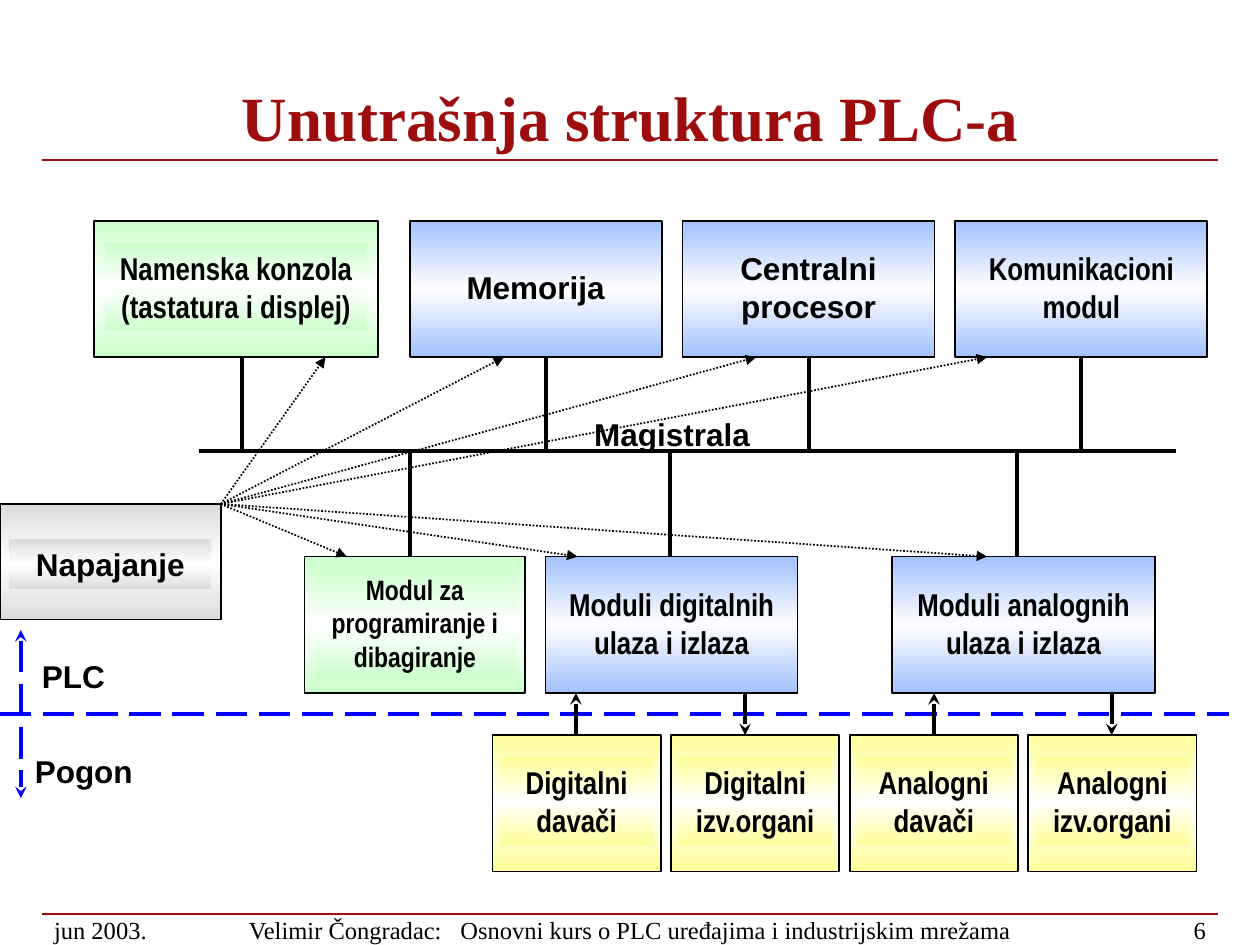
from copy import deepcopy
from dataclasses import dataclass

from lxml.etree import SubElement
from pptx import Presentation
from pptx.dml.color import RGBColor
from pptx.enum.dml import MSO_LINE_DASH_STYLE as Dash
from pptx.enum.shapes import MSO_CONNECTOR as Link, MSO_SHAPE as Preset
from pptx.enum.text import MSO_ANCHOR as Anchor, PP_ALIGN as Align
from pptx.oxml.ns import qn
from pptx.util import Cm, Pt

BLACK, RED, BLUE = "000000", "9D0D0D", "0000FF"
SERIF, SANS, NARROW = "Times New Roman", "Arial", "Arial Narrow"
TOP_ROW, MODULE_ROW, FIELD_ROW, BUS_Y = 4.45, 11.22, 14.82, 9.1
BLOCK_HEIGHT = 2.75
TOP_EDGE, MODULE_EDGE = TOP_ROW + BLOCK_HEIGHT, MODULE_ROW + BLOCK_HEIGHT
ONE_LINE, TWO_LINES, THREE_LINES = 1.01, 1.78, 2.29


@dataclass(frozen=True)
class Kind:
    color: str
    margin: float
    filled_label: bool


@dataclass(frozen=True)
class Block:
    text: str
    kind: Kind
    left: float
    top: float
    width: float
    height: float = BLOCK_HEIGHT
    label_height: float = TWO_LINES
    font: str = NARROW
    size: float = 18
    label_shift: float = -0.04


@dataclass(frozen=True)
class Stroke:
    color: str
    width: float
    dash: Dash | None = None
    head: str | None = None
    tail: str | None = None


CORE = Kind("A2C1FE", 0.21, False)
CONSOLE = Kind("CCFFCC", 0.21, True)
FIELD = Kind("FFFF99", 0.14, True)
SUPPLY = Kind("DCDCDC", 0.19, True)

RULE = Stroke(RED, 1)
WIRE = Stroke(BLACK, 2.25)
SIGNAL = Stroke(BLACK, 2.25, tail="stealth")
POWER = Stroke(BLACK, 1, Dash.ROUND_DOT, tail="triangle")
BORDER = Stroke(BLUE, 2.25, Dash.LONG_DASH)
SIDES = Stroke(BLUE, 2.25, Dash.LONG_DASH, "stealth", "stealth")

BLOCKS = [
    Block("Memorija", CORE, 8.26, TOP_ROW, 5.08, label_height=ONE_LINE, font=SANS),
    Block("Centralni procesor", CORE, 13.76, TOP_ROW, 5.08, font=SANS),
    Block("Moduli digitalnih ulaza i izlaza", CORE, 11, MODULE_ROW, 5.08),
    Block("Moduli analognih ulaza i izlaza", CORE, 17.99, MODULE_ROW, 5.29),
    Block("Komunikacioni modul", CORE, 19.26, TOP_ROW, 5.08),
    Block("Namenska konzola (tastatura i displej)", CONSOLE, 1.9, TOP_ROW, 5.72),
    Block("Modul za programiranje i dibagiranje", CONSOLE, 6.14, MODULE_ROW, 4.45,
          label_height=THREE_LINES, size=16),
]
FIELD_DEVICES = ["Digitalni davači", "Digitalni izv.organi",
                 "Analogni davači", "Analogni izv.organi"]
NAPAJANJE = Block("Napajanje", SUPPLY, 0, 10.16, 4.45, 2.33,
                  label_height=ONE_LINE, font=SANS, label_shift=0.05)
POWER_TARGETS = [(6.56, TOP_EDGE), (10.16, TOP_EDGE), (15.24, TOP_EDGE),
                 (19.9, TOP_EDGE), (19.9, MODULE_ROW), (11.64, MODULE_ROW),
                 (6.99, MODULE_ROW)]


def rgb(color: str) -> RGBColor:
    return RGBColor.from_string(color)


def fill_gradient(shape, color: str) -> None:
    shape.fill.gradient()
    shape.fill.gradient_angle = 90
    stops = shape._element.spPr.find(qn("a:gradFill")).find(qn("a:gsLst"))
    stops.insert(1, deepcopy(stops[0]))
    for stop, position, tone in zip(shape.fill.gradient_stops, (0, 0.5, 1),
                                    (color, "FFFFFF", color)):
        stop.position = position
        stop.color.rgb = rgb(tone)


def add_run(paragraph, text: str, font: str, size: float, color: str, bold: bool):
    run = paragraph.add_run()
    run.text = text
    run.font.name = font
    run.font.size = Pt(size)
    run.font.bold = bold
    run.font.color.rgb = rgb(color)
    return run


def add_text(slide, text: str, left: float, top: float, width: float,
             height: float = ONE_LINE, font: str = SANS, size: float = 18,
             color: str = BLACK, bold: bool = True, align: Align = Align.CENTER,
             anchor: Anchor = Anchor.TOP):
    box = slide.shapes.add_textbox(Cm(left), Cm(top), Cm(width), Cm(height))
    frame = box.text_frame
    frame.word_wrap = True
    frame.vertical_anchor = anchor
    frame.paragraphs[0].alignment = align
    add_run(frame.paragraphs[0], text, font, size, color, bold)
    return box


def add_footer(slide, text: str, left: float, width: float, align: Align):
    return add_text(slide, text, left, 18.42, width, 0.64, SERIF, 14,
                    bold=False, align=align, anchor=Anchor.MIDDLE)


def add_line(slide, start: tuple[float, float], end: tuple[float, float],
             stroke: Stroke) -> None:
    link = slide.shapes.add_connector(Link.STRAIGHT, *map(Cm, start + end))
    link.line.color.rgb = rgb(stroke.color)
    link.line.width = Pt(stroke.width)
    if stroke.dash:
        link.line.dash_style = stroke.dash
    outline = link.line._get_or_add_ln()
    for tag, arrow in (("a:headEnd", stroke.head), ("a:tailEnd", stroke.tail)):
        if arrow:
            SubElement(outline, qn(tag), type=arrow)
    SubElement(link._element.spPr, qn("a:effectLst"))


def add_block(slide, block: Block) -> None:
    frame = slide.shapes.add_shape(Preset.RECTANGLE, Cm(block.left), Cm(block.top),
                                   Cm(block.width), Cm(block.height))
    frame.shadow.inherit = False
    fill_gradient(frame, block.kind.color)
    frame.line.color.rgb = rgb(BLACK)
    frame.line.width = Pt(1)
    margin = block.kind.margin
    label_top = block.top + (block.height - block.label_height) / 2 + block.label_shift
    label = add_text(slide, block.text, block.left + margin, label_top,
                     block.width - 2 * margin, block.label_height,
                     block.font, block.size)
    if block.kind.filled_label:
        fill_gradient(label, block.kind.color)


def main() -> None:
    deck = Presentation()
    deck.slide_width, deck.slide_height = Cm(25.4), Cm(19.05)
    slide = deck.slides.add_slide(deck.slide_layouts[6])

    for y in (18.42, 3.23):
        add_line(slide, (0.84, y), (24.56, y), RULE)
    add_footer(slide, "jun 2003.", 0.84, 2.74, Align.LEFT)
    course = add_footer(slide, "Velimir Čongradac:", 3.6, 18.2, Align.CENTER)
    course_line = course.text_frame.paragraphs[0]
    gap = add_run(course_line, " ", SERIF, 14, BLACK, False)
    gap.font._element.set("spc", "700")
    add_run(course_line, "Osnovni kurs o PLC uređajima i industrijskim mrežama",
            SERIF, 14, BLACK, False)
    add_footer(slide, "6", 22.02, 2.54, Align.RIGHT)
    title = add_text(slide, "Unutrašnja struktura PLC-a", 3.22, 1.17, 18.97, 2.06,
                     SERIF, 36, RED, anchor=Anchor.BOTTOM)
    title.text_frame.paragraphs[0].line_spacing = 0.8

    for block in BLOCKS:
        add_block(slide, block)
    for column, device in enumerate(FIELD_DEVICES):
        add_block(slide, Block(device, FIELD, 9.93 + 3.6 * column, FIELD_ROW, 3.39))

    add_text(slide, "Magistrala", 11.22, 8.25, 4.66)
    add_line(slide, (4.02, BUS_Y), (23.71, BUS_Y), WIRE)
    add_text(slide, "PLC", 0.42, 13.12, 2.12)
    add_text(slide, "Pogon", 0.42, 15.03, 2.54)
    add_line(slide, (0, 14.4), (24.77, 14.4), BORDER)
    add_line(slide, (0.42, 12.7), (0.42, 16.09), SIDES)

    for x in (21.8, 16.3, 11, 4.87):
        add_line(slide, (x, BUS_Y), (x, TOP_EDGE), WIRE)
    for x in (8.26, 13.5, 20.5):
        add_line(slide, (x, MODULE_ROW), (x, BUS_Y), WIRE)
    for x in (11.61, 18.83):
        add_line(slide, (x, FIELD_ROW), (x, MODULE_EDGE), SIGNAL)
    for x in (15.02, 22.41):
        add_line(slide, (x, MODULE_EDGE), (x, FIELD_ROW), SIGNAL)

    add_block(slide, NAPAJANJE)
    for target in POWER_TARGETS:
        add_line(slide, (NAPAJANJE.width, NAPAJANJE.top), target, POWER)

    deck.save("out.pptx")


if __name__ == "__main__":
    main()
